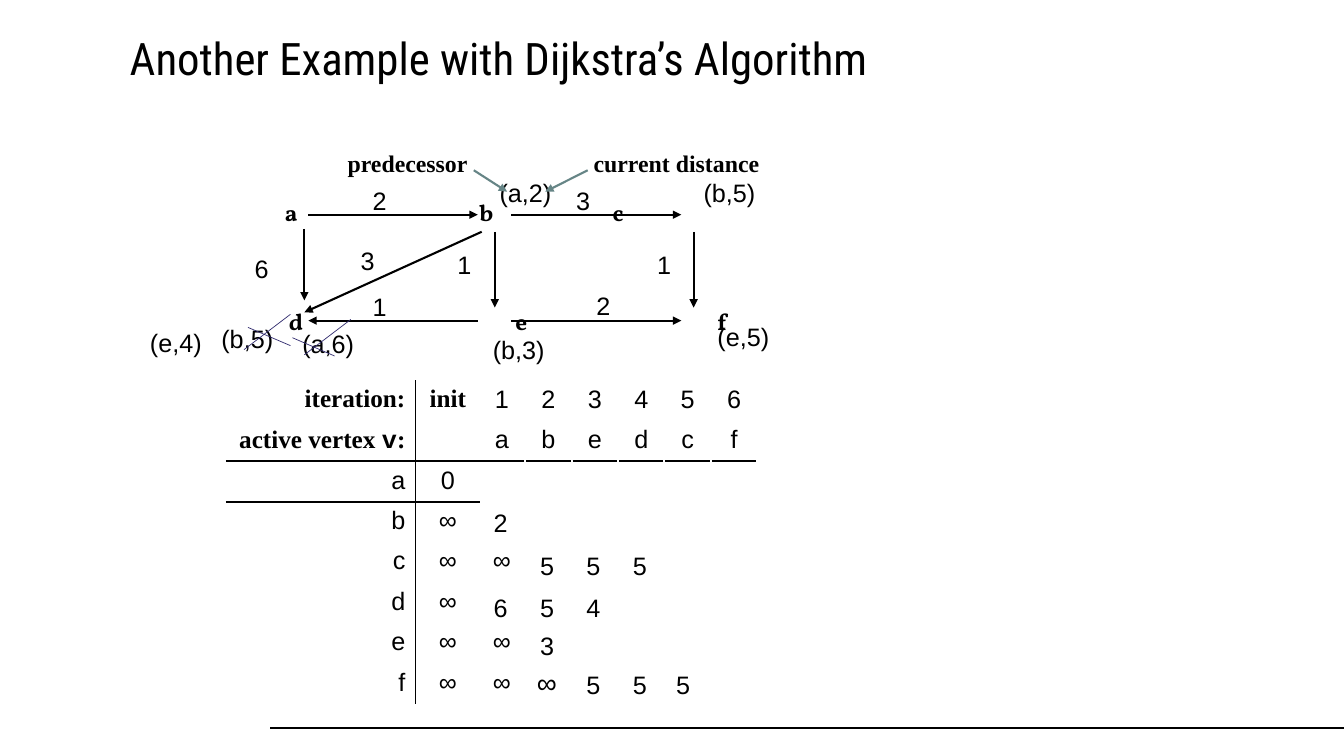
from lxml.etree import SubElement
from pptx import Presentation
from pptx.dml.color import RGBColor
from pptx.enum.shapes import MSO_CONNECTOR
from pptx.enum.text import MSO_ANCHOR, PP_ALIGN
from pptx.oxml.ns import qn
from pptx.util import Cm, Pt

BLACK = RGBColor(0x00, 0x00, 0x00)
TEAL = RGBColor(0x66, 0x85, 0x86)
INDIGO = RGBColor(0x33, 0x2E, 0x70)
SERIF = "Times New Roman"
PLAIN = "{2D5ABB26-0587-4C30-8999-92F81FD0307C}"
ROW = 1.02
STEP = 1.17

deck = Presentation()
deck.slide_width = Cm(33.87)
deck.slide_height = Cm(19.05)
slide = deck.slides.add_slide(deck.slide_layouts[6])
shapes = slide.shapes


def write(text, para=None, box=None, size=18, font="Arial", bold=False, align=PP_ALIGN.LEFT):
    if box:
        frame = shapes.add_textbox(*[Cm(n) for n in box]).text_frame
        frame.word_wrap = True
        para = frame.paragraphs[0]
    para.alignment = align
    run = para.add_run()
    run.text = text
    run.font.size = Pt(size)
    run.font.name = font
    run.font.bold = bold
    run.font.color.rgb = BLACK
    return para


def draw(ends, color=BLACK, width=1.5, arrow=True):
    line = shapes.add_connector(MSO_CONNECTOR.STRAIGHT, *[Cm(n) for n in ends])
    line.line.color.rgb = color
    line.line.width = Pt(width)
    if arrow:
        SubElement(line.line._get_or_add_ln(), qn("a:tailEnd"), type="triangle")
    SubElement(line._element.spPr, qn("a:effectLst"))


draw((6.81, 18.34, 33.87, 18.34), width=1, arrow=False)

title = write("Another Example with Dijkstra’s Algorithm", box=(3.02, 0.2, 22.86, 2.67),
              size=32, font="Roboto Condensed")
title.line_spacing = 0.9
shapes[-1].text_frame.vertical_anchor = MSO_ANCHOR.MIDDLE

shapes.add_textbox(Cm(6.93), Cm(5), Cm(13.08), Cm(3.86))
nodes = shapes[-1].text_frame
nodes.word_wrap = True
for text, indent, stops in [("a\tb\tc", 0, (4.9, 8.26)), ("d\te\tf", 0.1, (5.71, 10.8))]:
    para = nodes.add_paragraph() if indent else nodes.paragraphs[0]
    para.line_spacing = 0.8
    if indent:
        para.space_before = Pt(62)
    props = para._p.get_or_add_pPr()
    props.set("marL", str(Cm(indent)))
    tabs = SubElement(props, qn("a:tabLst"))
    for stop in stops:
        SubElement(tabs, qn("a:tab"), pos=str(Cm(stop)), algn="l")
    write(text, para, size=16.6, font="Vollkorn", bold=True)

main = [["iteration:", "init"], ["active vertex v:", ""], ["a", "0"]]
main += [[name, "∞"] for name in "bcdef"]
first = [[text] for text in ["", "", "∞", "", "∞", "∞"]]
grids = [(5.69, 9.58, (4.78, 1.63), main), (12.09, 11.61, (1.12,), first)]
for i, name in enumerate("abedcf"):
    grids.append((12.09 + i * STEP, 9.58, (1.12,), [[str(i + 1)], [name]]))

for left, top, widths, rows in grids:
    holder = shapes.add_table(len(rows), len(widths), Cm(left), Cm(top),
                              Cm(sum(widths)), Cm(ROW * len(rows)))
    holder._element.xpath(".//a:tableStyleId")[0].text = PLAIN
    table = holder.table
    table.first_row = False
    table.horz_banding = False
    for col, width in zip(table.columns, widths):
        col.width = Cm(width)
    for r, row in enumerate(rows):
        table.rows[r].height = Cm(ROW)
        for c, text in enumerate(row):
            cell = table.cell(r, c)
            para = cell.text_frame.paragraphs[0]
            head = rows is main and r < 2
            look = dict(font=SERIF if head else "Arial", bold=head,
                        align=PP_ALIGN.RIGHT if len(row) == 2 and c == 0 else PP_ALIGN.CENTER)
            if text.endswith(" v:"):
                write("active vertex ", para, **look)
                write("v", para, **{**look, "font": "Courier New"})
                write(":", para, **look)
            else:
                write(text, para, **look)
            sides = {"a:lnL": c == 1, "a:lnR": rows is main and c == 0,
                     "a:lnT": rows is main and r == 2, "a:lnB": rows is not first and r == 1}
            for tag, shown in sides.items():
                if shown:
                    edge = SubElement(cell._tc.get_or_add_tcPr(), qn(tag), w=str(Pt(1.5)))
                    fill = SubElement(edge, qn("a:solidFill"))
                    SubElement(fill, qn("a:srgbClr"), val=str(BLACK))
            cell.fill.background()

labels = [
    ("(a,6)", 7.37, 8.15), ("(a,2)", 12.34, 4.34), ("(b,5)", 17.48, 4.34),
    ("(b,5)", 5.33, 8.03), ("(b,3)", 12.17, 8.31), ("(e,4)", 3.53, 8.13),
    ("(e,5)", 17.83, 7.98), ("2", 9.14, 4.55), ("6", 6.17, 6.27),
    ("3", 14.27, 4.55), ("1", 11.28, 6.17), ("3", 8.84, 6.05),
    ("1", 9.14, 7.21), ("2", 14.78, 7.19), ("1", 16.31, 6.17),
]
for text, x, y in labels:
    write(text, box=(x, y, 2.03 if len(text) > 1 else 1.6, 0.97))

for text, x, width in [("predecessor", 8.51, 3.73), ("current distance", 14.71, 5.33)]:
    write(text, box=(x, 3.63, width, 0.97), size=17, font=SERIF, bold=True)

steps = [(12.67, 0, "2"), (13.74, 1, "555"), (14.81, 0, "654"), (15.77, 1, "3"), (16.74, 2, "55")]
for y, start, digits in steps:
    for i, digit in enumerate(digits, start):
        write(digit, box=(12.19 + i * STEP, y, 0.76, 0.97))
write("5", box=(16.79, 16.74, 0.76, 0.97))
write("∞", box=(13.28, 16.64, 0.76, 0.97), size=20)

edges = [
    (7.77, 5.41, 12.04, 5.41), (12.88, 5.41, 17.17, 5.41),
    (12.04, 8.08, 7.77, 8.08), (12.88, 8.08, 17.17, 8.08),
    (7.67, 5.77, 7.67, 7.57), (12.47, 5.84, 12.47, 7.75),
    (17.48, 5.84, 17.48, 7.75), (12.14, 5.84, 7.67, 7.87),
]
for ends in edges:
    draw(ends)
for ends in [(14.81, 4.29, 13.74, 4.83), (11.94, 4.29, 12.78, 4.83)]:
    draw(ends, color=TEAL)

strikes = [
    (7.67, 8.94, 8.84, 8.05), (7.37, 8.51, 8.43, 8.97),
    (6.15, 8.81, 7.32, 7.92), (6.25, 8.25, 7.32, 8.71),
]
for ends in strikes:
    draw(ends, color=INDIGO, width=0.5, arrow=False)

deck.save("out.pptx")
